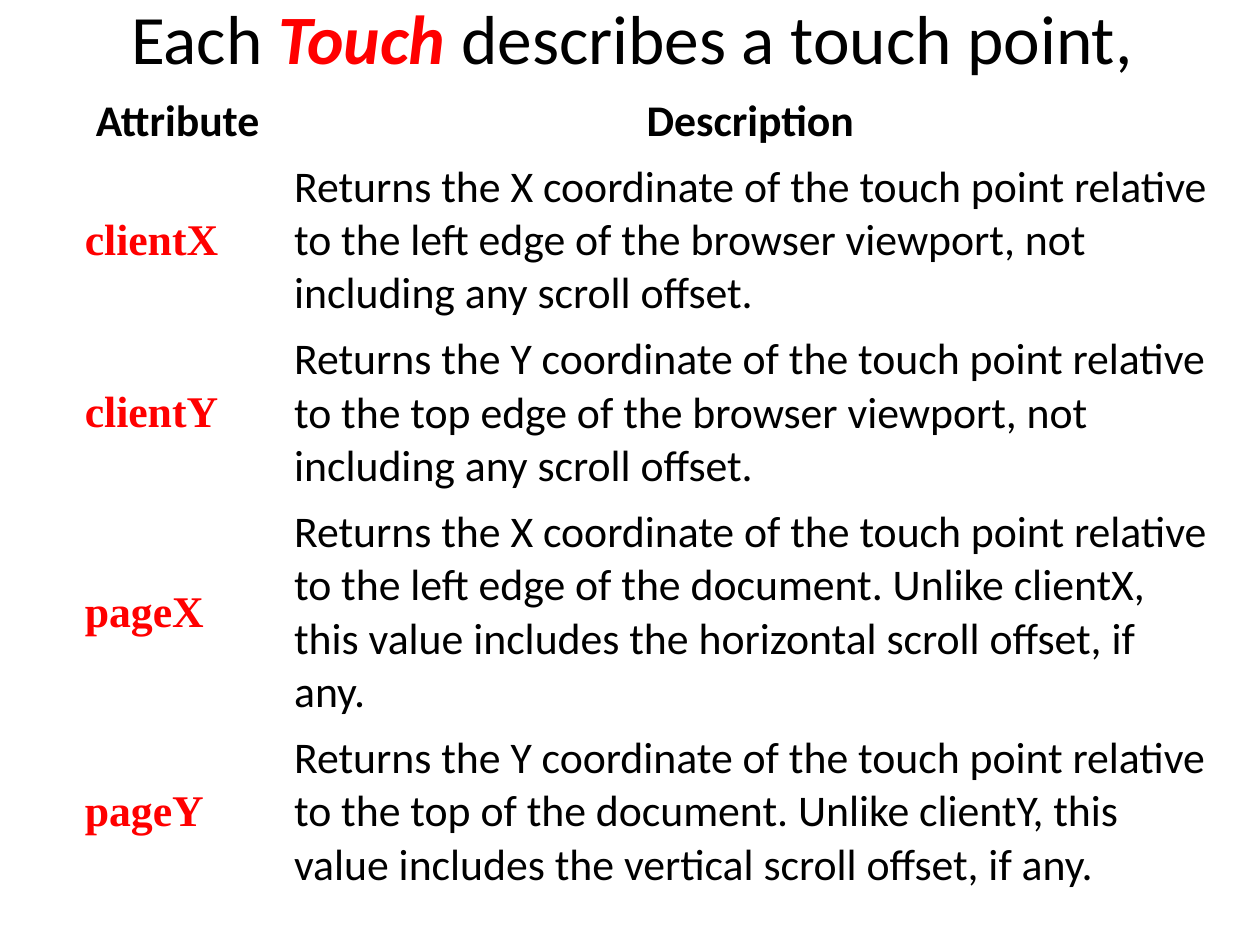
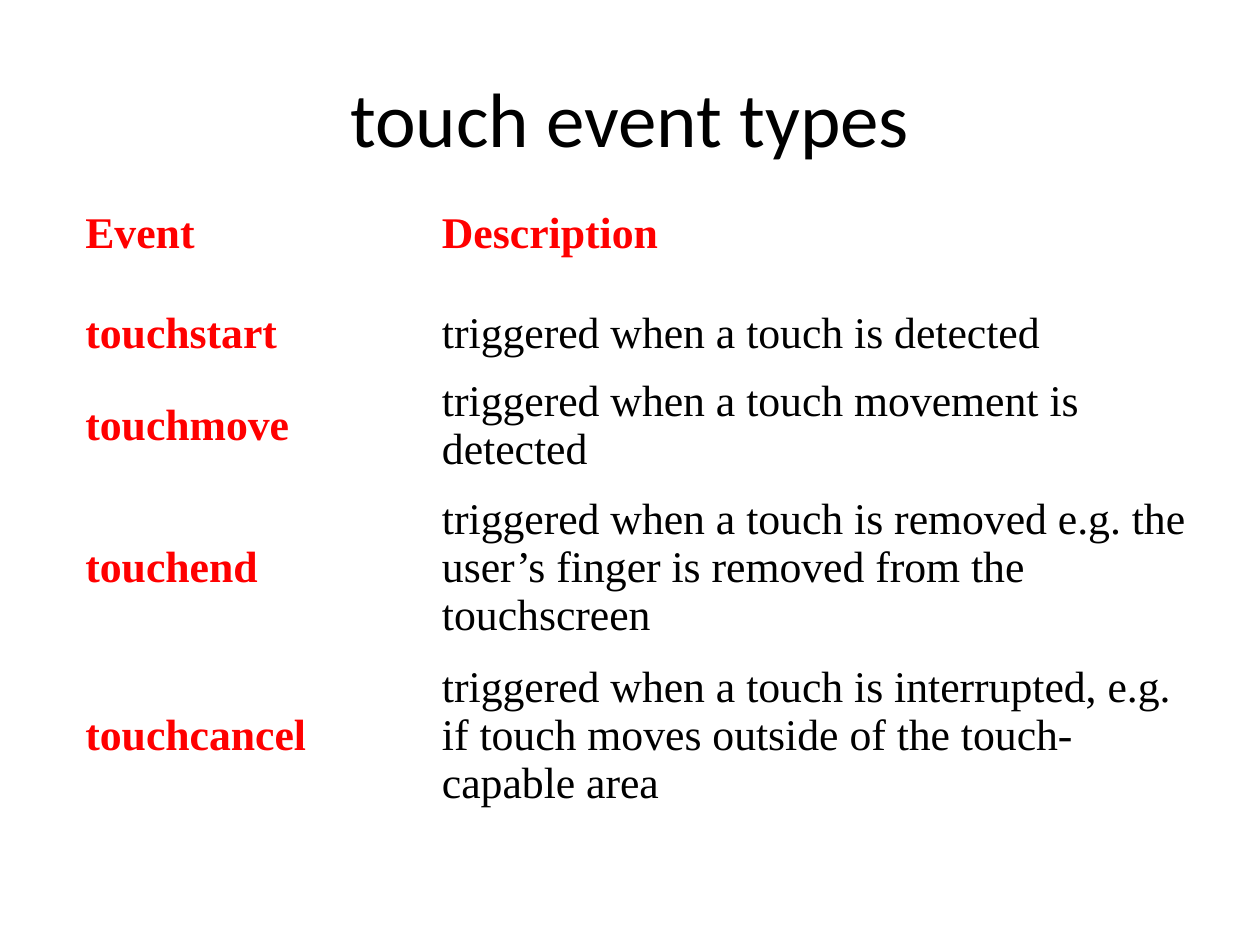
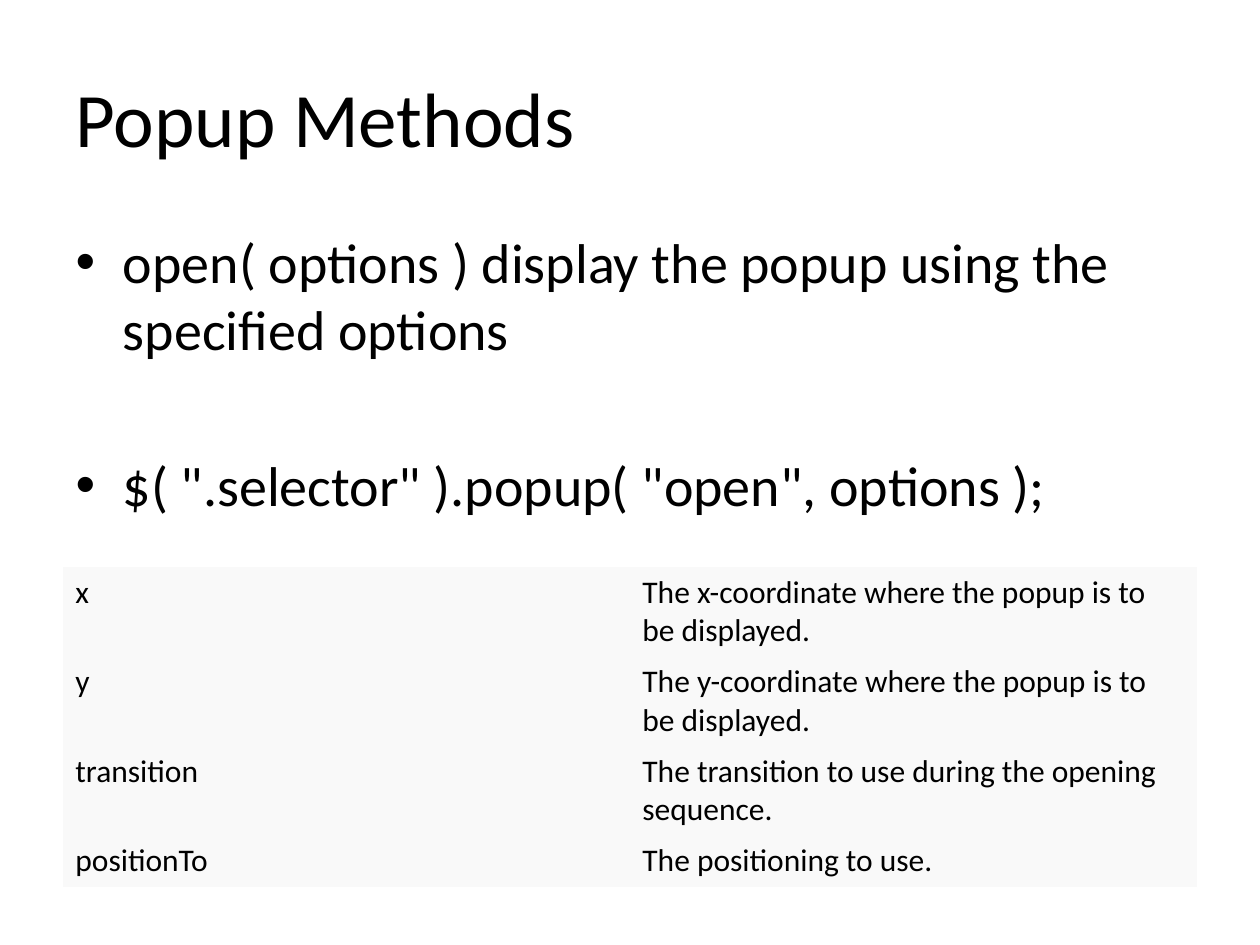
from dataclasses import dataclass

from pptx import Presentation
from pptx.dml.color import RGBColor
from pptx.enum.text import MSO_ANCHOR, PP_ALIGN
from pptx.oxml.ns import qn
from pptx.slide import Slide
from pptx.util import Cm, Pt

LEFT, CENTER = PP_ALIGN.LEFT, PP_ALIGN.CENTER
TOP, MIDDLE = MSO_ANCHOR.TOP, MSO_ANCHOR.MIDDLE
TITLE_AND_BODY, TITLE_ONLY = 1, 5
PLAIN_TABLE_STYLE = "{2D5ABB26-0587-4C30-8999-92F81FD0307C}"


@dataclass(frozen=True)
class Theme:
    sans: str = "Calibri"
    serif: str = "Times New Roman"
    ink: RGBColor = RGBColor(0x00, 0x00, 0x00)
    accent: RGBColor = RGBColor(0xFF, 0x00, 0x00)
    paper: RGBColor = RGBColor(0xFF, 0xFF, 0xFF)
    pale: RGBColor = RGBColor(0xF9, 0xF9, 0xF9)
    title_size: float = 44
    long_title_size: float = 39.6
    body_size: float = 32
    table_size: float = 25
    small_table_size: float = 18


THEME = Theme()


@dataclass(frozen=True)
class TextStyle:
    font: str = THEME.sans
    size: float = THEME.table_size
    color: RGBColor = THEME.ink
    bold: bool = False
    align: PP_ALIGN = LEFT
    anchor: MSO_ANCHOR = MIDDLE


@dataclass(frozen=True)
class TableSpec:
    """Position and sizes in centimetres, with one text style per column."""
    left: float
    top: float
    columns: tuple[float, ...]
    row_heights: tuple[float, ...]
    rows: tuple[tuple[str, ...], ...]
    styles: tuple[TextStyle, ...]
    header: TextStyle | None = None
    fill: RGBColor = THEME.paper
    side_margin: float = 0.25


# Text styles
KEYWORD = TextStyle(font=THEME.serif, color=THEME.accent, bold=True)
SERIF_TEXT = TextStyle(font=THEME.serif)
SANS_TEXT = TextStyle()
SANS_HEADER = TextStyle(bold=True, align=CENTER)
OPTION_NAME = TextStyle(size=THEME.small_table_size, anchor=TOP)
OPTION_TEXT = TextStyle(size=THEME.small_table_size)

# Table contents
TOUCH_ATTRIBUTES = TableSpec(
    left=1.47, top=1.78, columns=(4.22, 18.87),
    row_heights=(1.27, 3.43, 3.43, 4.5, 3.43),
    rows=(
        ("Attribute", "Description"),
        ("clientX", "Returns the X coordinate of the touch point relative to the left edge "
                    "of the browser viewport, not including any scroll offset."),
        ("clientY", "Returns the Y coordinate of the touch point relative to the top edge "
                    "of the browser viewport, not including any scroll offset."),
        ("pageX", "Returns the X coordinate of the touch point relative to the left edge "
                  "of the document. Unlike clientX, this value includes the horizontal "
                  "scroll offset, if any."),
        ("pageY", "Returns the Y coordinate of the touch point relative to the top "
                  "of the document. Unlike clientY, this value includes the vertical "
                  "scroll offset, if any."),
    ),
    styles=(KEYWORD, SANS_TEXT), header=SANS_HEADER, side_margin=0.24,
)
TOUCH_EVENTS = TableSpec(
    left=1.47, top=3.38, columns=(7.19, 15.67),
    row_heights=(2.67, 1.35, 2.36, 3.38, 3.38),
    rows=(
        ("Event", "Description"),
        ("touchstart", "triggered when a touch is detected"),
        ("touchmove", "triggered when a touch movement is detected"),
        ("touchend", "triggered when a touch is removed e.g. the user’s finger is removed "
                     "from the touchscreen"),
        ("touchcancel", "triggered when a touch is interrupted, e.g. if touch moves outside "
                        "of the touch-capable area"),
    ),
    styles=(KEYWORD, SERIF_TEXT), header=KEYWORD,
)
POPUP_OPTIONS = TableSpec(
    left=1.27, top=11.43, columns=(11.43, 11.43),
    row_heights=(1.8, 1.8, 1.8, 1.03),
    rows=(
        ("x", "The x-coordinate where the popup is to be displayed."),
        ("y", "The y-coordinate where the popup is to be displayed."),
        ("transition", "The transition to use during the opening sequence."),
        ("positionTo", "The positioning to use."),
    ),
    styles=(OPTION_NAME, OPTION_TEXT), fill=THEME.pale,
)


def style_paragraph(paragraph, style: TextStyle) -> None:
    paragraph.alignment = style.align
    font = paragraph.font
    font.name, font.size, font.bold = style.font, Pt(style.size), style.bold
    font.color.rgb = style.color


def place(shape, left: float, top: float, width: float, height: float) -> None:
    shape.left, shape.top = Cm(left), Cm(top)
    shape.width, shape.height = Cm(width), Cm(height)


def set_title(slide: Slide, parts: tuple[str, ...], align: PP_ALIGN = CENTER,
              left: float = 1.27, top: float = 0.76,
              size: float = THEME.title_size) -> None:
    """Fill the title; every second part is emphasised."""
    title = slide.shapes.title
    place(title, left, top, 22.86, 3.18)
    title.text_frame.vertical_anchor = MIDDLE
    paragraph = title.text_frame.paragraphs[0]
    style_paragraph(paragraph, TextStyle(size=size, align=align))
    for index, part in enumerate(parts):
        run = paragraph.add_run()
        run.text = part
        if index % 2:
            run.font.bold = run.font.italic = True
            run.font.color.rgb = THEME.accent


def set_bullets(slide: Slide, items: tuple[str, ...], gap: float) -> None:
    body = slide.placeholders[1]
    place(body, 1.27, 4.45, 22.86, 12.57)
    frame = body.text_frame
    frame.text = "\n".join(items)
    for index, paragraph in enumerate(frame.paragraphs):
        style_paragraph(paragraph, TextStyle(size=THEME.body_size))
        paragraph.space_before = Pt(gap if index else 0)


def draw_table(slide: Slide, spec: TableSpec) -> None:
    frame = slide.shapes.add_table(
        len(spec.rows), len(spec.columns), Cm(spec.left), Cm(spec.top),
        Cm(sum(spec.columns)), Cm(sum(spec.row_heights)))
    table = frame.table
    table.first_row = table.horz_banding = False
    for style_id in frame.element.iter(qn("a:tableStyleId")):
        style_id.text = PLAIN_TABLE_STYLE

    for column, width in zip(table.columns, spec.columns):
        column.width = Cm(width)
    for row_index, (row, height, texts) in enumerate(
            zip(table.rows, spec.row_heights, spec.rows)):
        row.height = Cm(height)
        for cell, text, column_style in zip(row.cells, texts, spec.styles):
            style = spec.header if spec.header and row_index == 0 else column_style
            cell.fill.solid()
            cell.fill.fore_color.rgb = spec.fill
            cell.margin_left = cell.margin_right = Cm(spec.side_margin)
            cell.vertical_anchor = style.anchor
            cell.text = text
            style_paragraph(cell.text_frame.paragraphs[0], style)


def main() -> None:
    presentation = Presentation()
    presentation.slide_width, presentation.slide_height = Cm(25.4), Cm(19.05)
    layouts = presentation.slide_layouts

    # Touch attributes
    slide = presentation.slides.add_slide(layouts[TITLE_ONLY])
    set_title(slide, ("Each ", "Touch", " describes a touch point, "),
              left=1.47, top=-0.84, size=THEME.long_title_size)
    draw_table(slide, TOUCH_ATTRIBUTES)

    # Touch events
    slide = presentation.slides.add_slide(layouts[TITLE_ONLY])
    set_title(slide, ("touch event types",))
    draw_table(slide, TOUCH_EVENTS)

    # Popup methods
    slide = presentation.slides.add_slide(layouts[TITLE_AND_BODY])
    set_title(slide, ("Popup Methods",), align=LEFT)
    set_bullets(slide, ("open( options ) display the popup using the specified options",
                        '$( ".selector" ).popup( "open", options );'), gap=51)
    draw_table(slide, POPUP_OPTIONS)

    presentation.save("out.pptx")


if __name__ == "__main__":
    main()
